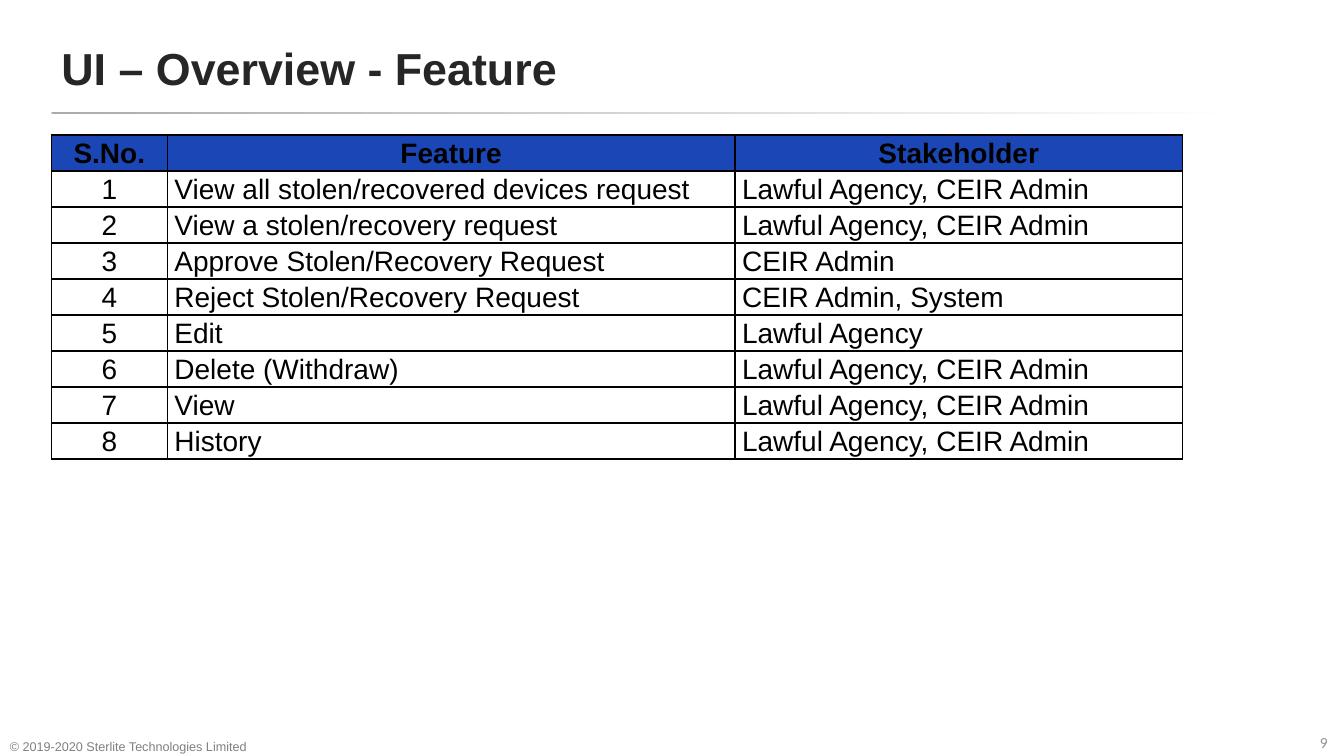
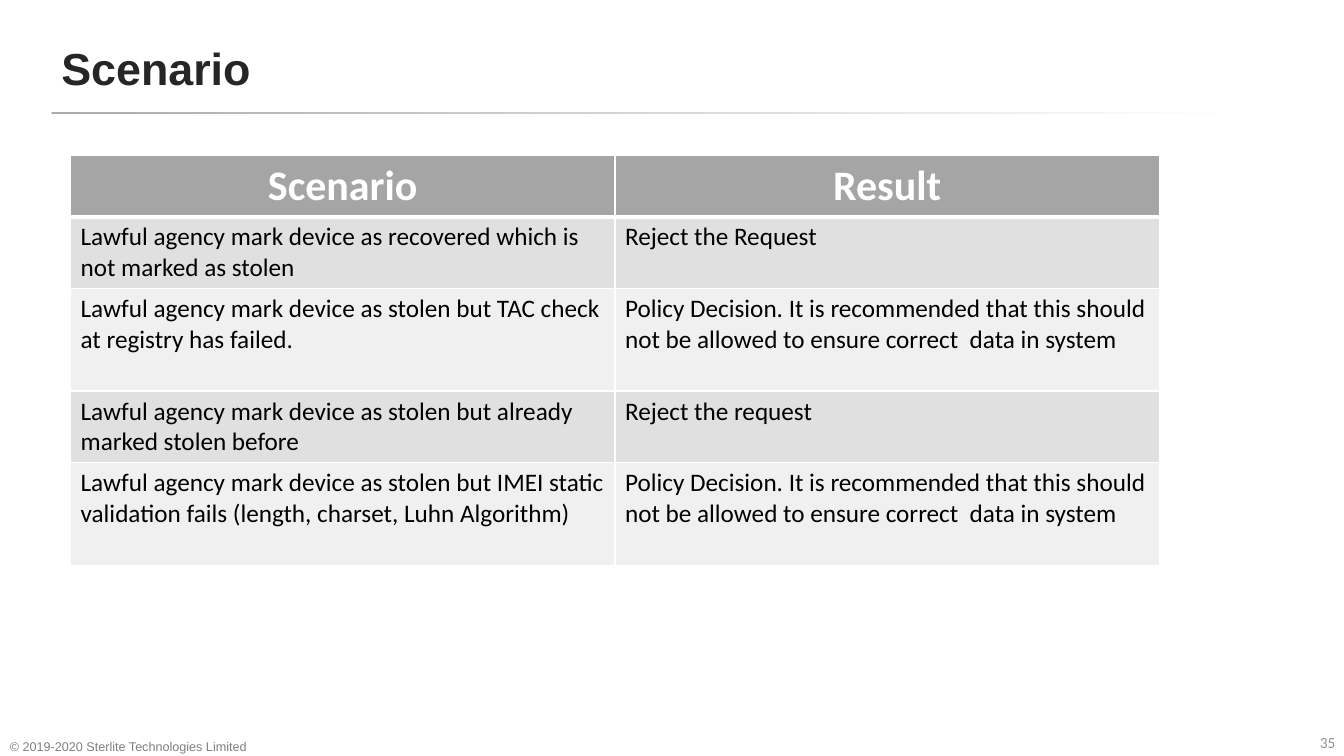
from dataclasses import dataclass

from lxml.etree import SubElement
from pptx import Presentation
from pptx.dml.color import RGBColor
from pptx.enum.shapes import MSO_SHAPE
from pptx.enum.text import MSO_ANCHOR, PP_ALIGN
from pptx.oxml.ns import qn
from pptx.util import Inches, Pt


@dataclass(frozen=True)
class Theme:
    heading_font: str = "Arial"
    body_font: str = "Calibri"
    title_color: str = "262626"
    rule_start: str = "AFABAB"
    rule_end: str = "FFFFFF"
    number_color: str = "929292"
    footer_color: str = "808080"
    title_size: int = 32
    number_size: int = 11
    footer_size: int = 9


@dataclass(frozen=True)
class TableStyle:
    font: str
    header_size: int
    body_size: int
    header_color: str
    header_fill: str
    band_fills: tuple
    border_color: str
    header_rule: float
    margins: tuple
    anchor: MSO_ANCHOR
    line_spacing: float
    centered_columns: tuple = ()
    body_color: str = "000000"
    border_width: float = 1


FEATURE_STYLE = TableStyle(
    font="Arial", header_size=20, body_size=20, header_color="000000",
    header_fill="1B47B6", band_fills=("FFFFFF",), border_color="000000",
    header_rule=1, margins=(0.07, 0), anchor=MSO_ANCHOR.MIDDLE,
    line_spacing=1.07, centered_columns=(0,),
)
SCENARIO_STYLE = TableStyle(
    font="Calibri", header_size=30, body_size=18, header_color="FFFFFF",
    header_fill="A5A5A5", band_fills=("E0E0E0", "F0F0F0"),
    border_color="FFFFFF", header_rule=3, margins=(0.1, 0.05),
    anchor=MSO_ANCHOR.TOP, line_spacing=1,
)

AGENCY = "Lawful Agency"
ADMIN = "CEIR Admin"
BOTH = f"{AGENCY}, {ADMIN}"
FEATURES = [
    ("View all stolen/recovered devices request", BOTH),
    ("View a stolen/recovery request", BOTH),
    ("Approve Stolen/Recovery Request", ADMIN),
    ("Reject Stolen/Recovery Request", f"{ADMIN}, System"),
    ("Edit", AGENCY),
    ("Delete (Withdraw)", BOTH),
    ("View", BOTH),
    ("History", BOTH),
]
POLICY = ("Policy Decision. It is recommended that this should not be allowed "
          "to ensure correct  data in system")
SCENARIOS = [
    ("Scenario", "Result"),
    ("Lawful agency mark device as recovered which is not marked as stolen",
     "Reject the Request"),
    ("Lawful agency mark device as stolen but TAC check at registry has failed.",
     POLICY),
    ("Lawful agency mark device as stolen but already marked stolen before",
     "Reject the request"),
    ("Lawful agency mark device as stolen but IMEI static validation fails "
     "(length, charset, Luhn Algorithm)", POLICY),
]


class Deck:
    """Holds the presentation, its theme and the slide being built."""

    def __init__(self, theme):
        self.theme = theme
        self.presentation = Presentation()
        self.presentation.slide_width = Inches(13.33)
        self.presentation.slide_height = Inches(7.5)
        self.slide = None

    def add_slide(self, title, number):
        theme = self.theme
        layout = self.presentation.slide_layouts[6]
        self.slide = self.presentation.slides.add_slide(layout)
        self.add_rule(0.51, 1.11, 12.31, 0.02)
        self.add_text(title, (0.51, 0.23, 9.92, 0.88), theme.heading_font,
                      theme.title_size, theme.title_color,
                      MSO_ANCHOR.MIDDLE, bold=True)
        self.add_text(str(number), (13.04, 7.22, 0.27, 0.25), theme.body_font,
                      theme.number_size, theme.number_color,
                      MSO_ANCHOR.TOP, margin=0.05)
        self.add_text("© 2019-2020 Sterlite Technologies Limited",
                      (0, 7.22, 3.03, 0.31), theme.heading_font,
                      theme.footer_size, theme.footer_color, MSO_ANCHOR.BOTTOM)

    def add_rule(self, left, top, width, height):
        shape = self.slide.shapes.add_shape(
            MSO_SHAPE.ROUNDED_RECTANGLE, Inches(left), Inches(top),
            Inches(width), Inches(height))
        shape.adjustments[0] = 0.5
        shape.shadow.inherit = False
        shape.line.fill.background()
        shape.fill.gradient()
        shape.fill.gradient_angle = 0
        start, end = shape.fill.gradient_stops
        start.color.rgb = RGBColor.from_string(self.theme.rule_start)
        end.color.rgb = RGBColor.from_string(self.theme.rule_end)
        end.position = 0.96

    def add_text(self, text, box, font, size, color, anchor,
                 bold=False, margin=0.1):
        shape = self.slide.shapes.add_textbox(*map(Inches, box))
        frame = shape.text_frame
        frame.word_wrap = True
        frame.vertical_anchor = anchor
        frame.margin_left = frame.margin_right = Inches(margin)
        frame.text = text
        self.format_runs(frame.paragraphs[0], font, size, color, bold)

    def add_table(self, rows, left, top, widths, heights, style):
        table = self.slide.shapes.add_table(
            len(rows), len(widths), Inches(left), Inches(top),
            Inches(sum(widths)), Inches(sum(heights))).table
        table.first_row = table.horz_banding = False
        for column, width in zip(table.columns, widths):
            column.width = Inches(width)
        for row, height in zip(table.rows, heights):
            row.height = Inches(height)
        for row_index, texts in enumerate(rows):
            for column_index, text in enumerate(texts):
                self.fill_cell(table.cell(row_index, column_index), text,
                               row_index, column_index, style)

    def fill_cell(self, cell, text, row_index, column_index, style):
        is_header = row_index == 0
        self.add_borders(cell, row_index, style)
        band = style.band_fills[(row_index - 1) % len(style.band_fills)]
        cell.fill.solid()
        cell.fill.fore_color.rgb = RGBColor.from_string(
            style.header_fill if is_header else band)
        side, edge = map(Inches, style.margins)
        cell.margin_left = cell.margin_right = side
        cell.margin_top = cell.margin_bottom = edge
        cell.vertical_anchor = style.anchor
        cell.text_frame.text = text
        paragraph = cell.text_frame.paragraphs[0]
        paragraph.line_spacing = style.line_spacing
        if is_header or column_index in style.centered_columns:
            paragraph.alignment = PP_ALIGN.CENTER
        self.format_runs(
            paragraph, style.font,
            style.header_size if is_header else style.body_size,
            style.header_color if is_header else style.body_color, is_header)

    @staticmethod
    def add_borders(cell, row_index, style):
        properties = cell._tc.get_or_add_tcPr()
        header_edge = {0: "lnB", 1: "lnT"}.get(row_index)
        for edge in ("lnL", "lnR", "lnT", "lnB"):
            width = (style.header_rule if edge == header_edge
                     else style.border_width)
            line = SubElement(properties, qn(f"a:{edge}"), w=str(Pt(width)))
            fill = SubElement(line, qn("a:solidFill"))
            SubElement(fill, qn("a:srgbClr"), val=style.border_color)

    @staticmethod
    def format_runs(paragraph, font, size, color, bold):
        for run in paragraph.runs:
            run.font.name = font
            run.font.size = Pt(size)
            run.font.bold = bold
            run.font.color.rgb = RGBColor.from_string(color)


def main():
    deck = Deck(Theme())

    deck.add_slide("UI – Overview - Feature", 9)
    feature_rows = [("S.No.", "Feature", "Stakeholder")]
    feature_rows += [(str(number), *feature)
                     for number, feature in enumerate(FEATURES, 1)]
    deck.add_table(feature_rows, 0.51, 1.34, (1.15, 5.63, 4.44),
                   [0.33] * len(feature_rows), FEATURE_STYLE)

    deck.add_slide("Scenario", 35)
    deck.add_table(SCENARIOS, 0.7, 1.54, (5.4, 5.4),
                   (0.61, 0.71, 1.02, 0.71, 1.02), SCENARIO_STYLE)

    deck.presentation.save("out.pptx")


if __name__ == "__main__":
    main()
